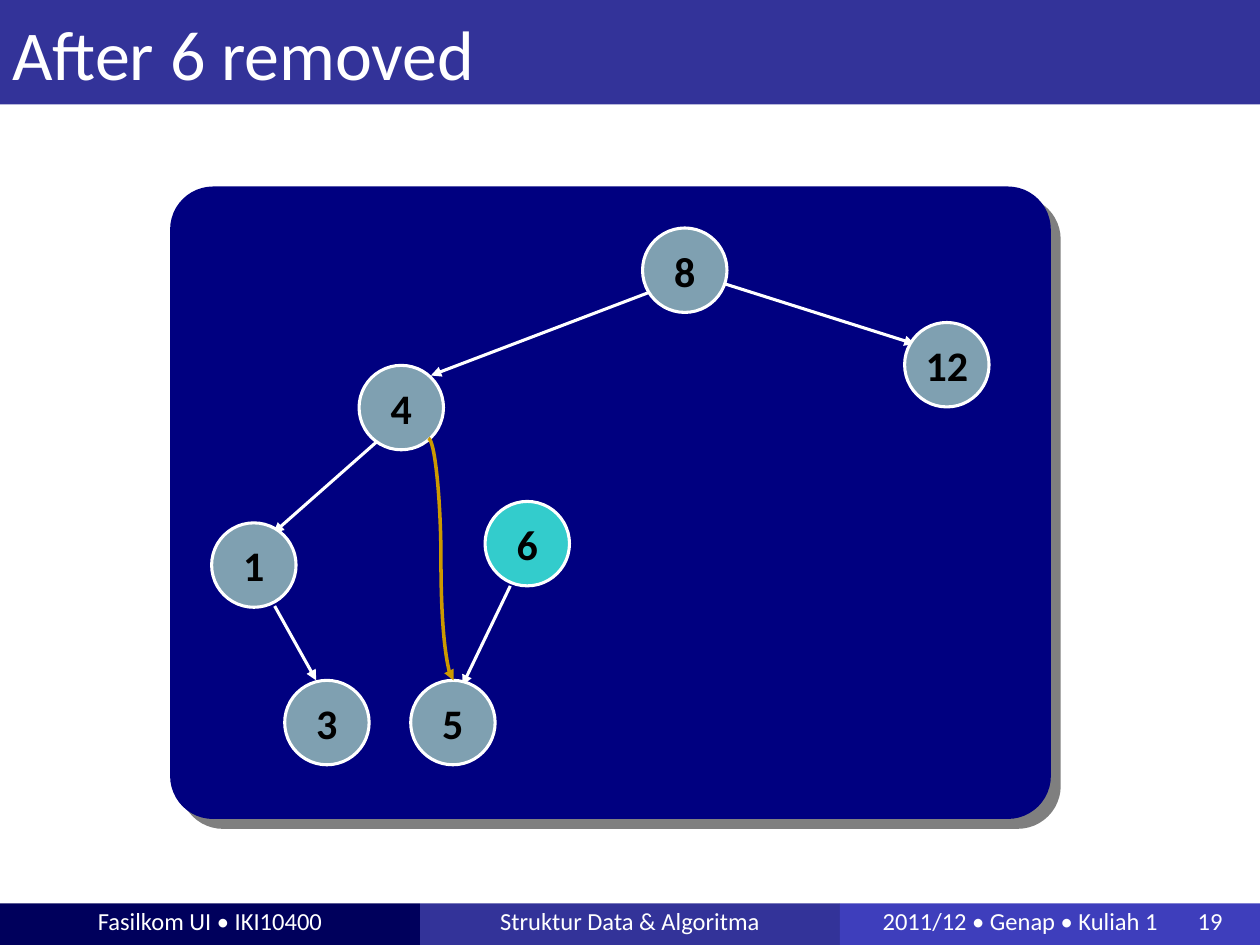
from lxml.etree import SubElement
from pptx import Presentation
from pptx.dml.color import RGBColor
from pptx.enum.shapes import MSO_CONNECTOR, MSO_SHAPE
from pptx.enum.text import MSO_ANCHOR, PP_ALIGN
from pptx.oxml.ns import qn
from pptx.util import Inches, Pt

COLORS = {
    "title": "333399", "panel": "000080", "node": "7FA0B1", "removed": "33CCCC",
    "white": "FFFFFF", "black": "000000", "bypass": "CC9900",
}
FONT = "Calibri"
TITLE = "After 6 removed"
FOOTER = [
    ("Fasilkom UI • IKI10400", "00005C"),
    ("Struktur Data & Algoritma", "333399"),
    ("2011/12 • Genap • Kuliah 1\t19", "3E3EBC"),
]
NODE_SIZE = 0.67
NODES = [  # label, left, top, colour
    ("8", 5.1, 1.81, "node"),
    ("5", 3.26, 5.4, "node"),
    ("12", 7.18, 2.56, "node"),
    ("1", 1.68, 4.15, "node"),
    ("3", 2.26, 5.4, "node"),
    ("4", 2.85, 2.9, "node"),
    ("6", 3.85, 3.98, "removed"),
]
EDGES = [  # start, end
    ((5.18, 2.31), (3.42, 2.98)),
    ((4.05, 4.65), (3.67, 5.44)),
    ((5.68, 2.23), (7.26, 2.73)),
    ((3.02, 3.48), (2.17, 4.23)),
    ((2.18, 4.81), (2.51, 5.4)),
]
BYPASS = ((3.4, 3.48), (3.6, 5.4))


def rgb(name):
    return RGBColor.from_string(COLORS.get(name, name))


def add_block(page, kind, left, top, width, height, fill):
    block = page.shapes.add_shape(
        kind, Inches(left), Inches(top), Inches(width), Inches(height))
    block.shadow.inherit = False
    block.fill.solid()
    block.fill.fore_color.rgb = rgb(fill)
    block.line.fill.background()
    return block


def write(block, text, size, color, align=PP_ALIGN.CENTER, bold=False):
    frame = block.text_frame
    frame.vertical_anchor = MSO_ANCHOR.MIDDLE
    para = frame.paragraphs[0]
    para.alignment = align
    span = para.add_run()
    span.text = text
    span.font.name = FONT
    span.font.size = Pt(size)
    span.font.bold = bold
    span.font.color.rgb = rgb(color)
    return para


def add_arrow(page, kind, start, end, color, width):
    arrow = page.shapes.add_connector(kind, *map(Inches, start + end))
    arrow.line.color.rgb = rgb(color)
    arrow.line.width = Pt(width)
    SubElement(arrow.line._get_or_add_ln(), qn("a:tailEnd"), type="triangle")
    SubElement(arrow._element.spPr, qn("a:effectLst"))


def add_drop_shadow(block):
    effects = block._element.spPr.find(qn("a:effectLst"))
    shadow = SubElement(effects, qn("a:outerShdw"), dist=str(Pt(8)),
                        dir=str(45 * 60000), algn="ctr", rotWithShape="0")
    color = SubElement(shadow, qn("a:srgbClr"), val=COLORS["black"])
    SubElement(color, qn("a:alpha"), val="50000")


def set_indent_and_tab(para, indent, tab):
    properties = para._p.get_or_add_pPr()
    properties.set("marL", str(Inches(indent)))
    properties.set("indent", "0")
    tabs = SubElement(properties, qn("a:tabLst"))
    SubElement(tabs, qn("a:tab"), pos=str(Inches(tab)), algn="l")


def add_footer(page):
    width = 10 / len(FOOTER)
    for index, (text, fill) in enumerate(FOOTER):
        block = add_block(page, MSO_SHAPE.RECTANGLE, index * width, 7.17, width, 0.33, fill)
        block.text_frame.margin_top = 0
        block.text_frame.word_wrap = True
        numbered = "\t" in text
        align = PP_ALIGN.LEFT if numbered else PP_ALIGN.CENTER
        para = write(block, text, 14, "white", align)
        if numbered:
            set_indent_and_tab(para, 0.24, 2.69)


def add_tree(page):
    panel = add_block(page, MSO_SHAPE.ROUNDED_RECTANGLE, 1.35, 1.48, 6.99, 5.02, "panel")
    panel.adjustments[0] = 0.068
    add_drop_shadow(panel)
    for start, end in EDGES:
        add_arrow(page, MSO_CONNECTOR.STRAIGHT, start, end, "white", 1.75)
    for label, left, top, fill in NODES:
        node = add_block(page, MSO_SHAPE.OVAL, left, top, NODE_SIZE, NODE_SIZE, fill)
        node.line.color.rgb = rgb("white")
        node.line.width = Pt(1.75)
        node.text_frame.word_wrap = False
        write(node, label, 24, "black", bold=True)
    add_arrow(page, MSO_CONNECTOR.CURVE, *BYPASS, "bypass", 2)


def main():
    deck = Presentation()
    deck.slide_width, deck.slide_height = Inches(10), Inches(7.5)
    page = deck.slides.add_slide(deck.slide_layouts[6])
    add_footer(page)
    title = add_block(page, MSO_SHAPE.RECTANGLE, 0, 0, 10, 0.83, "title")
    write(title, TITLE, 40, "white", PP_ALIGN.LEFT)
    add_tree(page)
    deck.save("out.pptx")


if __name__ == "__main__":
    main()
